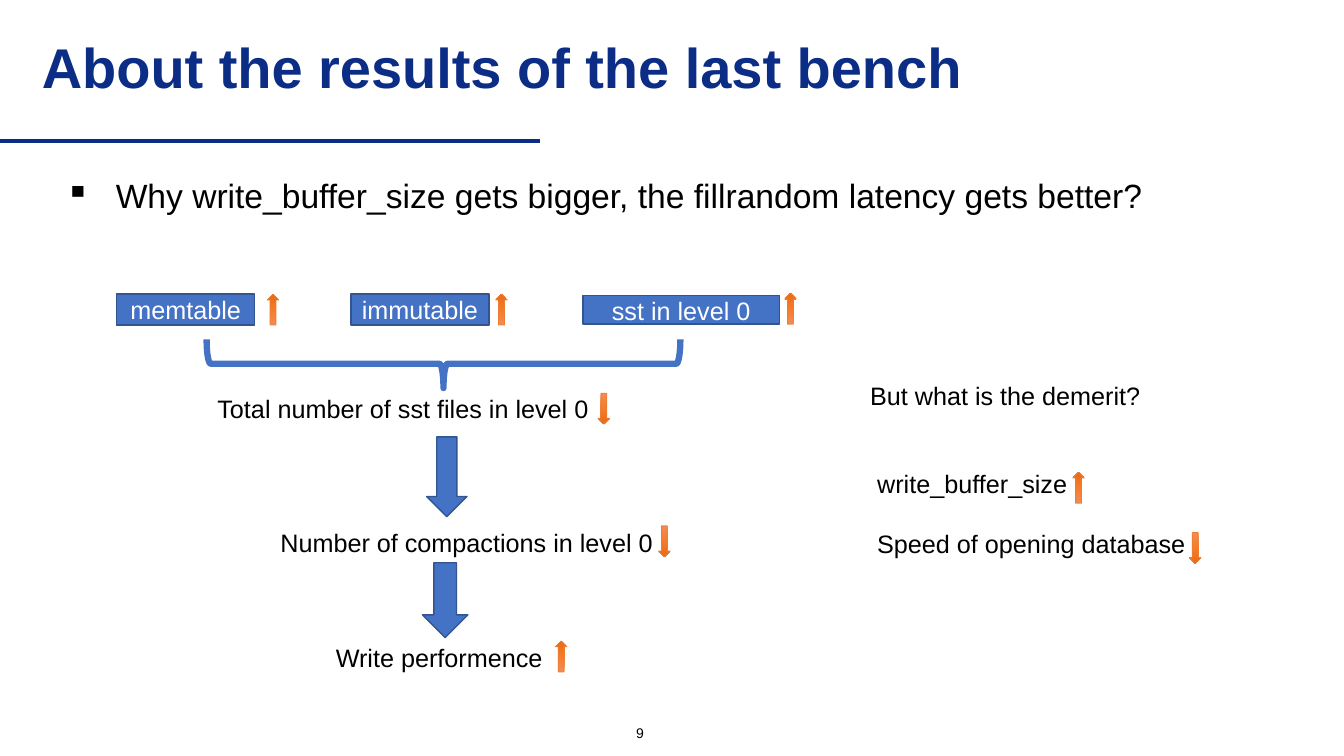
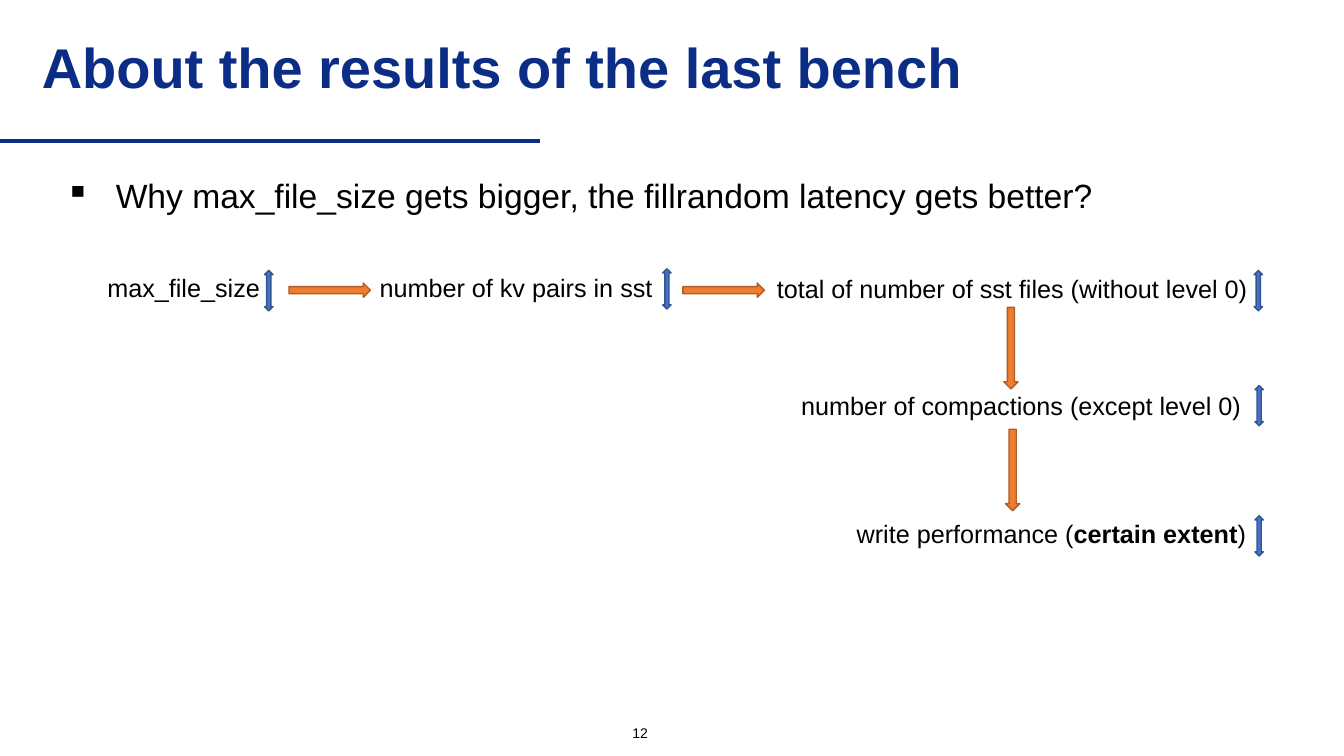
from copy import deepcopy

from pptx import Presentation
from pptx.dml.color import RGBColor as RGB
from pptx.enum.shapes import MSO_CONNECTOR as LINE, MSO_SHAPE as SHAPE
from pptx.enum.text import MSO_ANCHOR as ANCHOR, PP_ALIGN as ALIGN
from pptx.oxml.ns import qn
from pptx.oxml.xmlchemy import OxmlElement
from pptx.util import Inches, Pt

COLS, ROWS = 160, 90
WIDTH, HEIGHT = Inches(13.333), Inches(7.5)
COLORS = {
    "navy": "0B2D86", "black": "000000", "white": "FFFFFF",
    "blue": "4472C4", "blue_edge": "325491",
    "orange": "ED7D31", "orange_edge": "AF5C24",
    "glow_start": "F18C57", "glow_mid": "F67B28", "glow_end": "E56C19",
}
GLOW = [(0, "glow_start"), (0.5, "glow_mid"), (1, "glow_end")]
TITLE = {"size": Pt(40), "bold": True}
BODY = {"size": Pt(24)}
LABEL = {"size": Pt(18)}
NUMBER = {"size": Pt(10)}
ROW_H = 4.8
TREND_W, TREND_H = 1.4, 3.7
STEP_LEN, STEP_W = 9.7, 1.7


def rgb(name):
    return RGB.from_string(COLORS[name])


def col(n):
    return round(n * WIDTH / COLS)


def row(n):
    return round(n * HEIGHT / ROWS)


def box(x, y, w, h):
    return col(x), row(y), col(w), row(h)


def apply(target, values):
    for name, value in values.items():
        setattr(target, name, value)


def write(p, runs, font, color="black", **para):
    apply(p, para)
    for text, bold in [(runs, None)] if isinstance(runs, str) else runs:
        r = p.add_run()
        r.text = text
        apply(r.font, {"name": "Arial", **font})
        if bold is not None:
            r.font.bold = bold
        r.font.color.rgb = rgb(color)


def add_text(slide, at, runs, font, color="black", anchor=ANCHOR.TOP, **para):
    tf = slide.shapes.add_textbox(*box(*at)).text_frame
    apply(tf, {"word_wrap": True, "vertical_anchor": anchor})
    write(tf.paragraphs[0], runs, font, color, **para)
    return tf


def add_label(slide, x, y, w, runs):
    return add_text(slide, (x, y, w, ROW_H), runs, LABEL)


def indent(p, left, first=0, bullet=None):
    pPr = p._p.get_or_add_pPr()
    pPr.set("marL", str(Inches(left)))
    pPr.set("indent", str(Inches(first)))
    if bullet:
        bu = OxmlElement("a:buChar")
        bu.set("char", bullet)
        pPr.append(bu)


def add_shape(slide, kind, at, fill=None, edge="blue_edge", width=1, rotation=0):
    sp = slide.shapes.add_shape(kind, *box(*at))
    sp.shadow.inherit = False
    sp.rotation = rotation
    if fill:
        sp.fill.solid()
        sp.fill.fore_color.rgb = rgb(fill)
    else:
        sp.fill.background()
    sp.line.color.rgb = rgb(edge)
    sp.line.width = Pt(width)
    return sp


def add_box(slide, x, y, w, h, text):
    sp = add_shape(slide, SHAPE.RECTANGLE, (x, y, w, h), "blue")
    tf = sp.text_frame
    apply(tf, {"word_wrap": True, "vertical_anchor": ANCHOR.MIDDLE})
    write(tf.paragraphs[0], text, LABEL, "white", alignment=ALIGN.CENTER)


def add_trend(slide, x, y, up):
    sp = add_shape(slide, SHAPE.DOWN_ARROW, (x, y, TREND_W, TREND_H),
                   edge="orange", width=0.5, rotation=180 if up else 0)
    sp.fill.gradient()
    sp.fill.gradient_angle = 270
    stops = sp._element.spPr.find(".//" + qn("a:gsLst"))
    stops.insert(1, deepcopy(stops[0]))
    for stop, (position, color) in zip(sp.fill.gradient_stops, GLOW):
        stop.position = position
        stop.color.rgb = rgb(color)


def add_both_ways(slide, x, y):
    add_shape(slide, SHAPE.UP_DOWN_ARROW, (x, y, 1, ROW_H), "blue")


def add_step(slide, x, y, rotation=0):
    add_shape(slide, SHAPE.RIGHT_ARROW, (x, y, STEP_LEN, STEP_W),
              "orange", "orange_edge", rotation=rotation)


def add_page(prs, number, question):
    slide = prs.slides.add_slide(prs.slide_layouts[6])
    rule = slide.shapes.add_connector(LINE.STRAIGHT, 0, row(16.8), col(64.3), row(16.8))
    rule.line.color.rgb = rgb("navy")
    rule.line.width = Pt(3)
    rule._element.spPr.append(OxmlElement("a:effectLst"))
    add_text(slide, (3.8, 2.9, 116.5, 10.9), "About the results of the last bench",
             TITLE, "navy", ANCHOR.MIDDLE, line_spacing=0.9)
    add_text(slide, (58.2, 85.3, 36, 3.8), str(number), NUMBER,
             anchor=ANCHOR.MIDDLE, alignment=ALIGN.CENTER)
    tf = add_text(slide, (6.6, 19.8, 145.7, 6.6), question, BODY, line_spacing=1.1)
    indent(tf.paragraphs[0], 0.5, -0.5, "▪")
    return slide


def add_buffer_page(prs):
    slide = add_page(
        prs, 9, "Why write_buffer_size gets bigger, the fillrandom latency gets better?")
    for x, y, w, h, text in [(13.9, 35, 16.4, 3.7, "memtable"),
                             (41.8, 35, 16.4, 3.7, "immutable"),
                             (69.4, 35.2, 23.4, 3.4, "sst in level 0")]:
        add_box(slide, x, y, w, h, text)
    add_shape(slide, SHAPE.LEFT_BRACE, (49.9, 15.1, 5.8, 56.4),
              edge="blue", width=4.5, rotation=270)
    for x, y, w, text in [(24.7, 46.2, 48.6, "Total number of sst files in level 0"),
                          (32.2, 62.2, 69.6, "Number of compactions in level 0"),
                          (38.8, 75.9, 32.4, "Write performence")]:
        add_label(slide, x, y, w, text)
    for at in [(50.8, 52, 4.8, 9.5), (50.3, 67, 5.4, 8.9)]:
        add_shape(slide, SHAPE.DOWN_ARROW, at, "blue")
    tf = add_text(slide, (102.4, 44.7, 46.2, 23), "But what is the demerit?", LABEL)
    for text, gap in [("write_buffer_size", 41.4), ("Speed of opening database", 20.7)]:
        p = tf.add_paragraph()
        indent(p, 0.07)
        write(p, text, LABEL, space_before=Pt(gap))
    for x, y, up in [(31.8, 35, True), (59, 35, True), (93.4, 34.9, True),
                     (71.2, 46.8, False), (78.4, 62.6, False), (66.1, 76.3, True),
                     (127.7, 56.2, True), (141.6, 63.4, False)]:
        add_trend(slide, x, y, up)


def add_file_page(prs):
    slide = add_page(
        prs, 12, "Why max_file_size gets bigger, the fillrandom latency gets better?")
    extent = [("write performance (", None), ("certain extent", True), (")", False)]
    for x, y, w, text in [(11.6, 31.8, 22.3, "max_file_size"),
                          (44, 31.8, 36.8, "number of kv pairs in sst"),
                          (91.3, 31.9, 60, "total of number of sst files (without level 0)"),
                          (94.2, 45.9, 58.9, "number of compactions (except level 0)"),
                          (100.8, 61.1, 56, extent)]:
        add_label(slide, x, y, w, text)
    for x, y in [(31.5, 32.2), (78.9, 32), (149.3, 32.2), (149.4, 45.9), (149.4, 61.4)]:
        add_both_ways(slide, x, y)
    for x, y, rotation in [(34.4, 33.7, 0), (81.3, 33.7, 0),
                           (115.5, 40.6, 90), (115.7, 55.1, 90)]:
        add_step(slide, x, y, rotation)


def main():
    prs = Presentation()
    apply(prs, {"slide_width": WIDTH, "slide_height": HEIGHT})
    add_buffer_page(prs)
    add_file_page(prs)
    prs.save("out.pptx")


if __name__ == "__main__":
    main()
